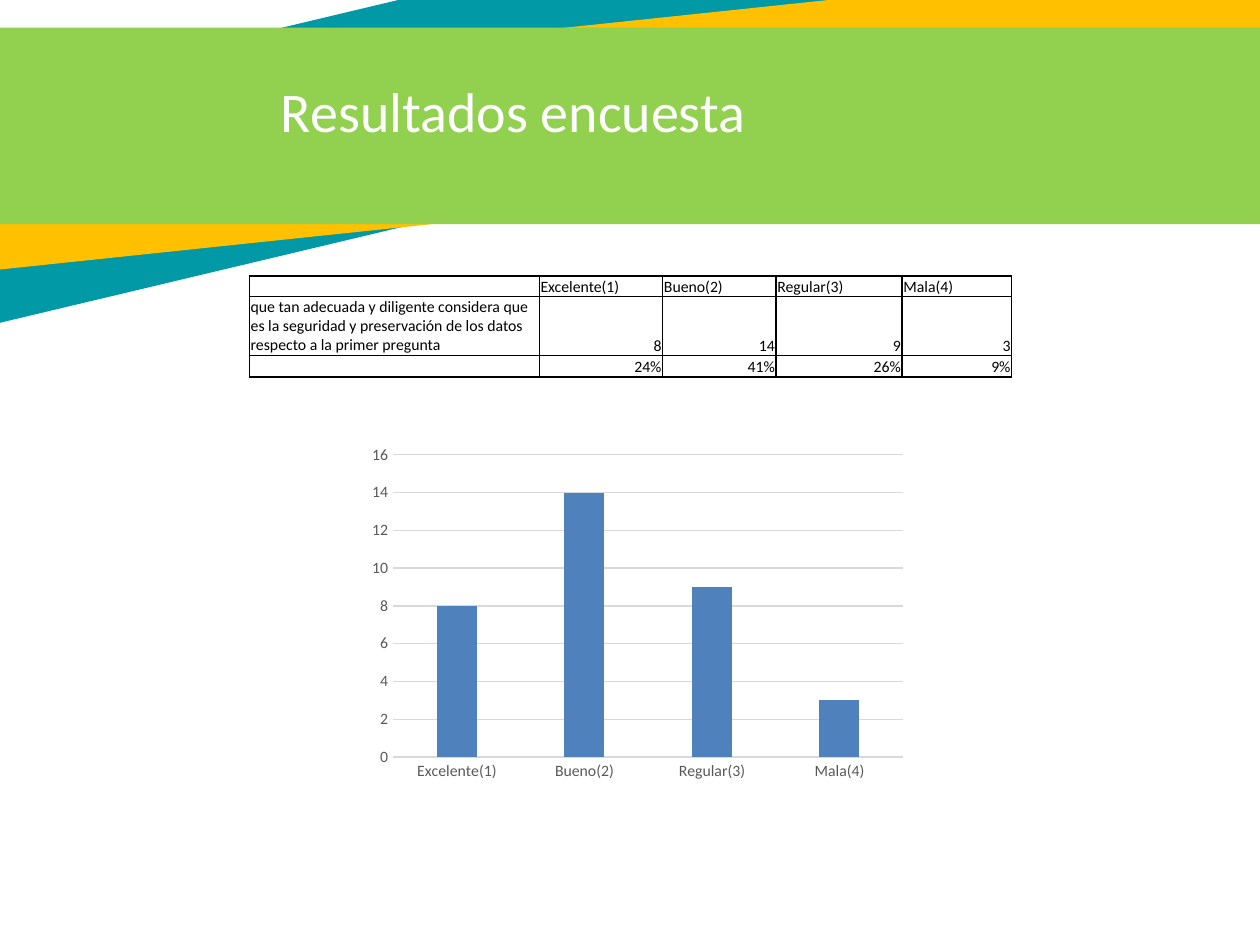
from dataclasses import dataclass

from lxml.etree import SubElement
from pptx import Presentation
from pptx.chart.data import CategoryChartData as ChartData
from pptx.dml.color import RGBColor as Rgb
from pptx.enum.chart import XL_CHART_TYPE as Kind, XL_TICK_MARK as Tick
from pptx.enum.shapes import MSO_SHAPE as Form
from pptx.enum.text import MSO_ANCHOR as Anchor, PP_ALIGN as Align
from pptx.oxml.ns import qn
from pptx.util import Pt

SCALE = 9144  # EMU per px, 100 px to the inch
FONT = "Calibri"
COLORS = {
    "teal": "0099A5", "gold": "FFC000", "green": "92D050", "white": "FFFFFF",
    "black": "000000", "gray": "595959", "grid": "D9D9D9", "bar": "4F81BD",
}


@dataclass
class Band:
    left: int
    top: int
    width: int
    height: int
    color: str
    turn: float = 0


BANDS = [
    Band(-251, -18, 1306, 176, "teal", 346.6),
    Band(-110, 20, 1163, 144, "gold", 354),
    Band(-106, 22, 1163, 156, "green"),
]
GRADES = ["Excelente(1)", "Bueno(2)", "Regular(3)", "Mala(4)"]
VOTES = [8, 14, 9, 3]
QUERY = ("que tan adecuada y diligente considera que es la seguridad y "
         "preservación de los datos respecto a la primer pregunta")
ROWS = [
    ["", *GRADES],
    [QUERY, *map(str, VOTES)],
    ["", *(f"{vote / sum(VOTES):.0%}" for vote in VOTES)],
]
COLS = [230, 98, 90, 100, 87]
HEIGHTS = [16, 47, 17]


def px(*sizes: int) -> list[int]:
    return [size * SCALE for size in sizes]


def rgb(name: str) -> Rgb:
    return Rgb.from_string(COLORS[name])


def style(font, size: int, color: str) -> None:
    font.name, font.size = FONT, Pt(size)
    font.color.rgb = rgb(color)


def add_band(slide, band: Band) -> None:
    box = px(band.left, band.top, band.width, band.height)
    shape = slide.shapes.add_shape(Form.RECTANGLE, *box)
    shape.shadow.inherit = False
    shape.rotation = band.turn
    shape.fill.solid()
    shape.fill.fore_color.rgb = rgb(band.color)
    shape.line.fill.background()


def add_title(slide, text: str) -> None:
    title = slide.shapes.title
    title.left, title.top, title.width, title.height = px(213, 56, 393, 64)
    frame = title.text_frame
    frame.text = text
    frame.word_wrap = False
    frame.vertical_anchor = Anchor.TOP
    para = frame.paragraphs[0]
    para.alignment = Align.LEFT
    style(para.font, 32, "white")
    # Bring the title in front of the bands
    slide.shapes._spTree.append(title._element)


def add_edges(cell) -> None:
    props = cell._tc.get_or_add_tcPr()
    for i, side in enumerate(("lnL", "lnR", "lnT", "lnB")):
        edge = props.makeelement(qn(f"a:{side}"), {"w": str(Pt(1))})
        fill = SubElement(edge, qn("a:solidFill"))
        SubElement(fill, qn("a:srgbClr"), val=COLORS["black"])
        props.insert(i, edge)


def fill_cell(cell, text: str, row: int, col: int) -> None:
    cell.text = text
    cell.margin_left, cell.margin_right, cell.margin_top, cell.margin_bottom = px(1, 1, 1, 0)
    cell.vertical_anchor = Anchor.TOP if text == QUERY else Anchor.BOTTOM
    cell.fill.background()
    add_edges(cell)
    para = cell.text_frame.paragraphs[0]
    para.alignment = Align.RIGHT if row and col else Align.LEFT
    style(para.font, 9, "black")


def add_grid(slide) -> None:
    box = px(198, 219, sum(COLS), sum(HEIGHTS))
    table = slide.shapes.add_table(len(ROWS), len(COLS), *box).table
    table.first_row = table.horz_banding = False
    for col, width in zip(table.columns, px(*COLS)):
        col.width = width
    for row, height in zip(table.rows, px(*HEIGHTS)):
        row.height = height
    for r, texts in enumerate(ROWS):
        for c, text in enumerate(texts):
            fill_cell(table.cell(r, c), text, r, c)


def rule(line) -> None:
    line.color.rgb = rgb("grid")
    line.width = Pt(0.75)


def place_plot(chart) -> None:
    area = chart._chartSpace.chart.plotArea
    for old in area.findall(qn("c:layout")):
        area.remove(old)
    layout = area.makeelement(qn("c:layout"), {})
    area.insert(0, layout)
    manual = SubElement(layout, qn("c:manualLayout"))
    parts = {"layoutTarget": "inner", "xMode": "edge", "yMode": "edge",
             "x": 0.11, "y": 0.07, "w": 0.84, "h": 0.8}
    for tag, val in parts.items():
        SubElement(manual, qn(f"c:{tag}"), val=str(val))


def add_bars(slide) -> None:
    data = ChartData()
    data.categories = GRADES
    data.add_series("Series 1", VOTES)
    box = px(259, 340, 482, 300)
    chart = slide.shapes.add_chart(Kind.COLUMN_CLUSTERED, *box, data).chart
    chart.has_legend = chart.has_title = False
    style(chart.font, 10, "black")
    plot = chart.plots[0]
    plot.gap_width, plot.overlap = 219, -27
    plot.vary_by_categories = False
    bars = plot.series[0].format.fill
    bars.solid()
    bars.fore_color.rgb = rgb("bar")
    # Axes
    cats, vals = chart.category_axis, chart.value_axis
    for axis in (cats, vals):
        axis.major_tick_mark = axis.minor_tick_mark = Tick.NONE
        style(axis.tick_labels.font, 9, "gray")
    rule(cats.format.line)
    vals.format.line.fill.background()
    vals.minimum_scale, vals.maximum_scale, vals.major_unit = 0, 16, 2
    vals.has_major_gridlines = True
    rule(vals.major_gridlines.format.line)
    place_plot(chart)


def main() -> None:
    deck = Presentation()
    deck.slide_width, deck.slide_height = px(1000, 750)
    slide = deck.slides.add_slide(deck.slide_layouts[5])
    for band in BANDS:
        add_band(slide, band)
    add_grid(slide)
    add_bars(slide)
    add_title(slide, "Resultados encuesta")
    deck.save("out.pptx")


if __name__ == "__main__":
    main()
